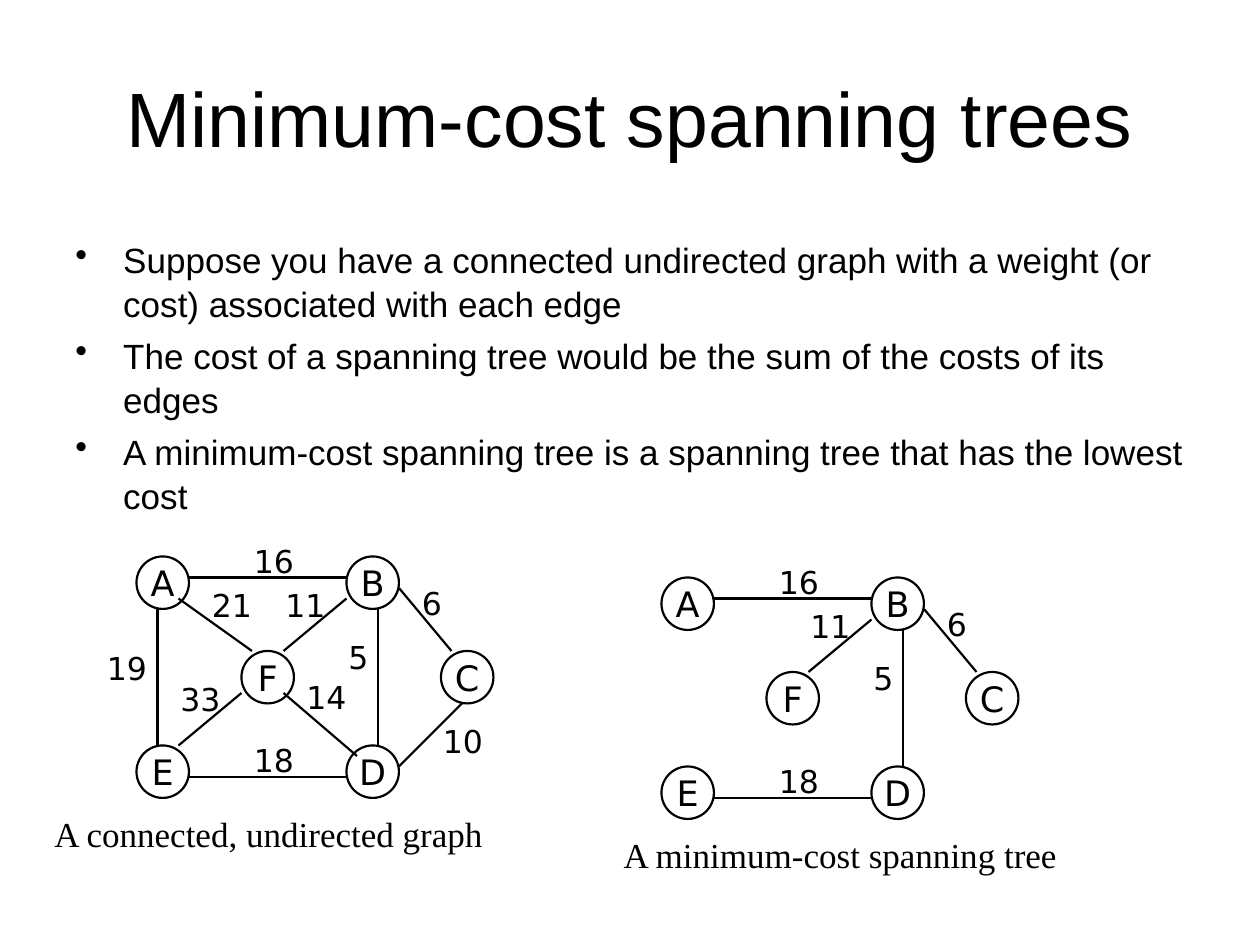
import pptx
import pptx.util
import pptx.dml.color
import pptx.enum.shapes
import pptx.enum.text
import pptx.oxml.ns
from lxml import etree

# Content
title = "Minimum-cost spanning trees"
points = [
    "Suppose you have a connected undirected graph with a weight (or cost) associated with each edge",
    "The cost of a spanning tree would be the sum of the costs of its edges",
    "A minimum-cost spanning tree is a spanning tree that has the lowest cost",
]
hues = {"ink": "000000", "page": "FFFFFF"}
fonts = {"main": "Arial", "graph": "DejaVu Sans", "note": "Times New Roman"}

# Graph layout in grid cells, measured from the corner of node A
nodes = {"A": (0, 0), "B": (20, 0), "E": (0, 18), "D": (20, 18), "F": (10, 9), "C": (29, 9)}
# edge: (weight, start, end, weight label corner)
edges = {
    "AE": ("19", (2, 5), (2, 18), (-4, 8.2)),
    "AB": ("16", (5, 2), (20, 2), (10, -2)),
    "BD": ("5", (23, 5), (23, 18), (19, 7.2)),
    "ED": ("18", (5, 21), (20, 21), (10, 17)),
    "EF": ("33", (4, 18), (10, 13), (3, 11.2)),
    "DF": ("14", (21, 19), (14, 13), (15, 11)),
    "AF": ("21", (4, 4), (11, 9), (6, 2.2)),
    "BF": ("11", (20, 4), (14, 9), (13, 2.2)),
    "DC": ("10", (25, 20), (31, 14), (28, 15.2)),
    "BC": ("6", (25, 3), (30, 9), (26, 2)),
}
graphs = [
    {"at": (13, 53), "edges": list(edges),
     "note": "A connected, undirected graph", "shift": -9},
    {"at": (63, 55), "edges": ["AB", "BD", "ED", "BF", "BC"],
     "note": "A minimum-cost spanning tree", "shift": -4.8},
]

Inch, Pt = pptx.util.Inches, pptx.util.Pt
Align = pptx.enum.text.PP_ALIGN
Anchor = pptx.enum.text.MSO_ANCHOR
qn = pptx.oxml.ns.qn
cell = 1 / 12  # inches per grid cell
disc = 5       # node size in cells


def color(name):
    return pptx.dml.color.RGBColor.from_string(hues[name])


def style(para, font, size, align=Align.LEFT):
    para.alignment = align
    para.font.name = fonts[font]
    para.font.size = Pt(size)
    para.font.color.rgb = color("ink")


def write(home, box, text, font, size, align=Align.LEFT, anchor=Anchor.TOP):
    frame = home.add_textbox(*map(Inch, box)).text_frame
    frame.word_wrap = True
    frame.vertical_anchor = anchor
    frame.text = text
    for para in frame.paragraphs:
        style(para, font, size, align)
    return frame


def ink(line):
    line.color.rgb = color("ink")
    line.width = Pt(1.25)


def draw(slide, graph):
    group = slide.shapes.add_group_shape().shapes

    def place(spot):
        return [(a + b) * cell for a, b in zip(graph["at"], spot)]

    # Nodes
    for name, spot in nodes.items():
        node = group.add_shape(pptx.enum.shapes.MSO_SHAPE.OVAL,
                               *map(Inch, place(spot) + [disc * cell] * 2))
        node.shadow.inherit = False
        node.fill.background()
        ink(node.line)
        frame = node.text_frame
        frame.word_wrap = False
        frame.vertical_anchor = Anchor.MIDDLE
        frame.text = name
        style(frame.paragraphs[0], "graph", 20, Align.CENTER)

    # Edges and weights
    for key in graph["edges"]:
        cost, start, end, spot = edges[key]
        line = group.add_connector(pptx.enum.shapes.MSO_CONNECTOR.STRAIGHT,
                                   *map(Inch, place(start) + place(end)))
        ink(line.line)
        etree.SubElement(line._element.spPr, qn("a:effectLst"))
        write(group, place(spot) + [7 * cell, 0.4], cost, "graph", 18)

    # Caption
    write(group, place((graph["shift"], 23.8)) + [3.75, 0.44], graph["note"], "note", 20)


def main():
    deck = pptx.Presentation()
    deck.slide_width, deck.slide_height = Inch(10), Inch(7.5)
    slide = deck.slides.add_slide(deck.slide_layouts[6])
    slide.background.fill.solid()
    slide.background.fill.fore_color.rgb = color("page")

    # Title and bullets
    write(slide.shapes, (0.5, 0.3, 9, 1.25), title, "main", 44, Align.CENTER, Anchor.MIDDLE)
    body = write(slide.shapes, (0.5, 1.83, 9, 2.6), "\n".join(points), "main", 20)
    for row, para in enumerate(body.paragraphs):
        para.line_spacing = 1.04
        if row:
            para.space_before = Pt(5)
        props = para._p.get_or_add_pPr()
        props.set("marL", str(Inch(0.38)))
        props.set("indent", str(Inch(-0.38)))
        mark = etree.Element(qn("a:buChar"), char="•")
        props.find(qn("a:defRPr")).addprevious(mark)

    for graph in graphs:
        draw(slide, graph)
    deck.save("out.pptx")


if __name__ == "__main__":
    main()
